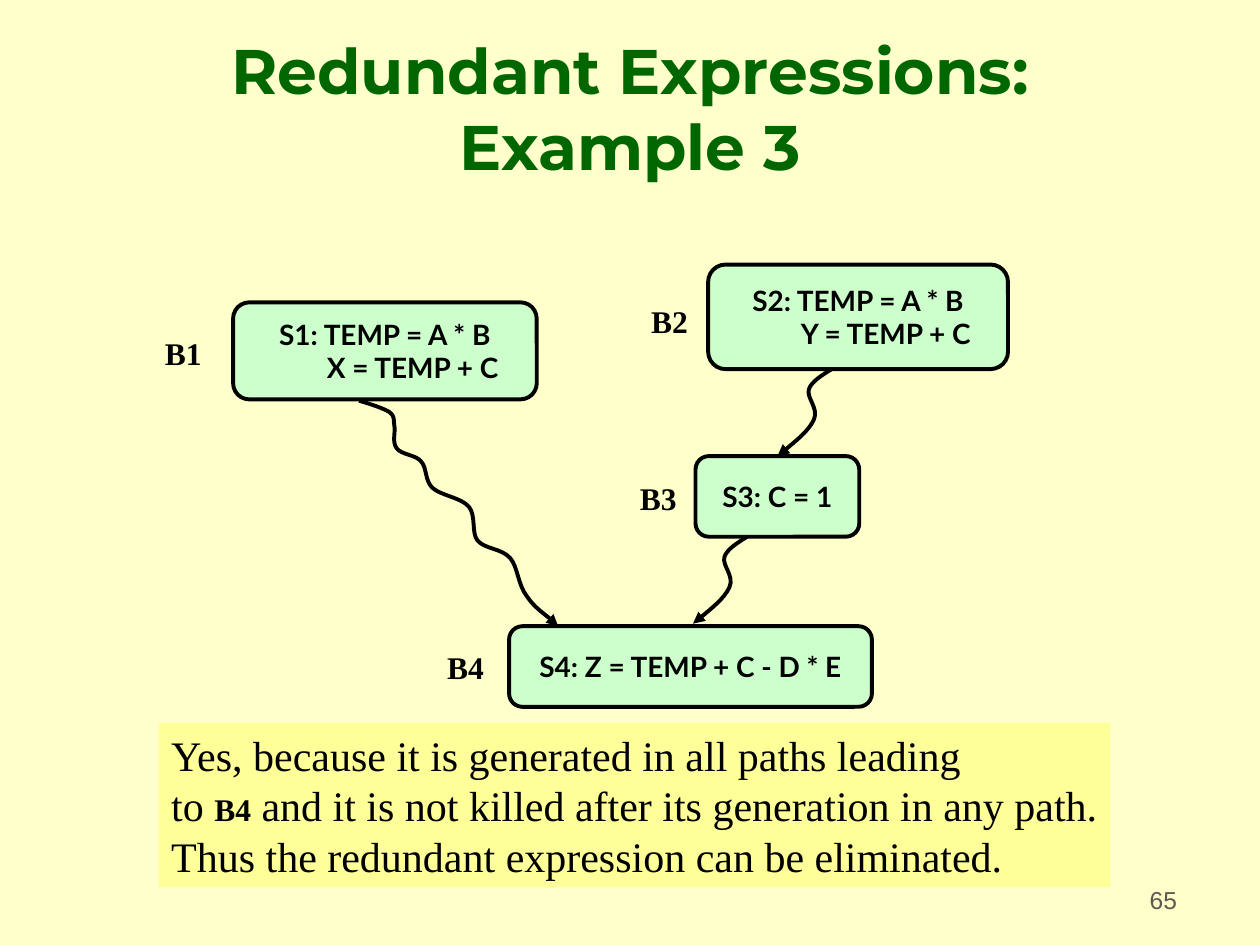
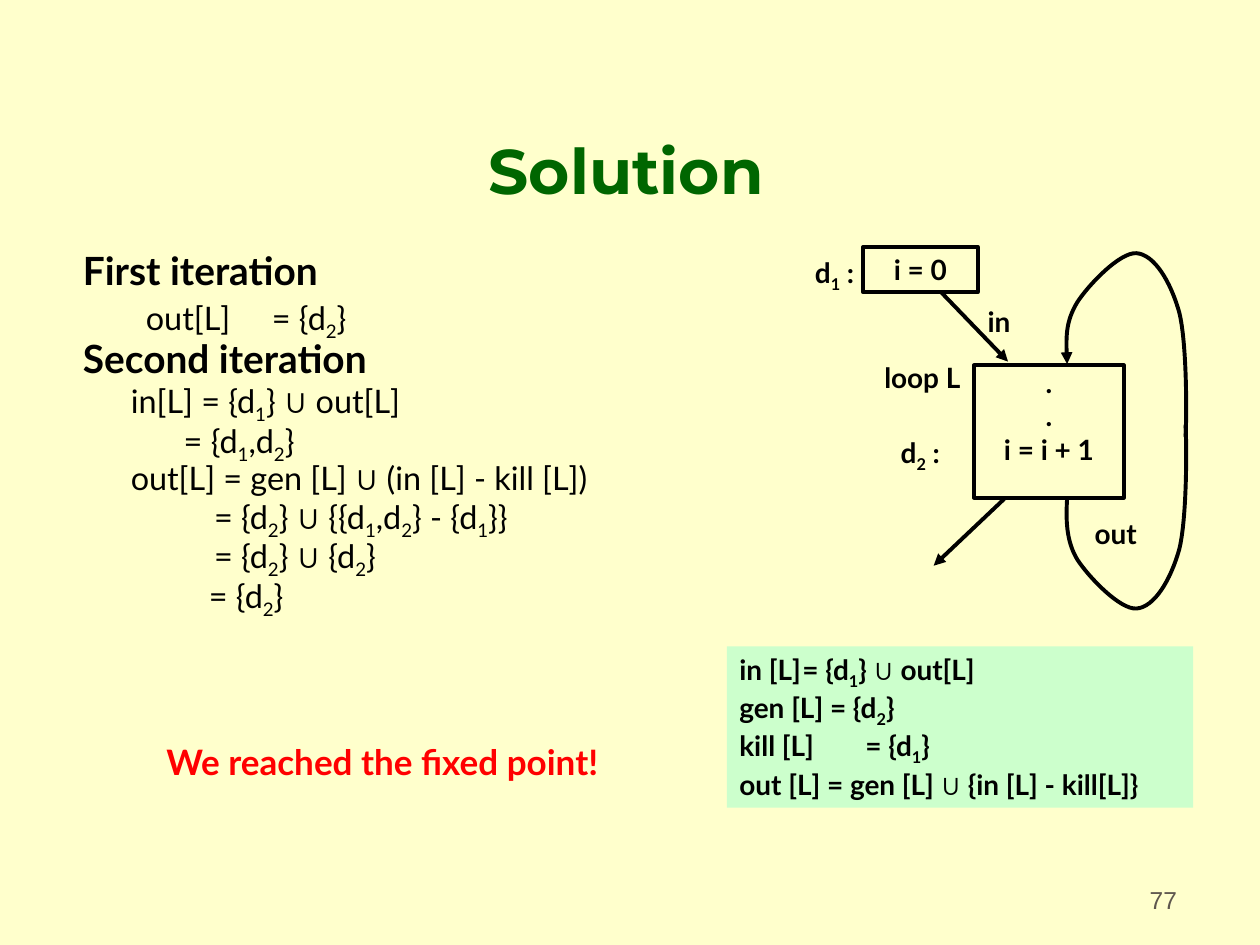
from pptx import Presentation
from pptx.dml.color import RGBColor
from pptx.enum.shapes import MSO_CONNECTOR as CONN, MSO_SHAPE as SHAPE
from pptx.enum.text import MSO_ANCHOR as ANCHOR, MSO_AUTO_SIZE as AUTO, PP_ALIGN as ALIGN
from pptx.oxml.xmlchemy import OxmlElement
from pptx.util import Inches, Pt

COLORS = {"bg": "FFFFCC", "title": "006600", "ink": "000000", "number": "5E574E",
          "block": "CCFFCC", "note": "FFFF99", "alert": "FF0000"}

# Text styles; MARKS are the tokens that are styled inside a line
CODE = {"name": "Lato", "size": 16, "bold": True, "color": "ink"}
HEAD = {**CODE, "size": 22.2}
STEP = {**CODE, "size": 18.5, "bold": False}
ALERT = {**CODE, "size": 20, "color": "alert"}
SERIF = {"name": "Times New Roman", "size": 24, "color": "ink"}
LABEL = {**SERIF, "size": 18, "bold": True}
TITLE = {"name": "Montserrat", "size": 36, "bold": True, "color": "title"}
NUMBER = {"name": "Arial", "size": 14, "color": "number"}
MARKS = {"_1": {"sub": True}, "_2": {"sub": True},
         "∪": {"name": "Arial", "bold": True}, "B4": {"size": 18, "bold": True}}

# Slide 1: a line is text, or (text, paragraph format)
BLOCKS = [
    ((1.85, 2.4, 2.41, 0.77), ["S1: TEMP = A * B", ("X = TEMP + C", {"left": 0.44})]),
    ((4.04, 4.97, 2.88, 0.64), ["S4: Z = TEMP + C - D * E"]),
    ((5.62, 2.1, 2.38, 0.83), ["S2: TEMP = A * B", ("Y = TEMP + C", {"left": 0.44})]),
    ((5.52, 3.62, 1.3, 0.64), ["S3: C = 1"]),
]
BLOCK_LABELS = [("B1", 1.21, 2.6), ("B2", 5.07, 2.35), ("B3", 4.98, 3.75), ("B4", 3.45, 5.09)]
ANSWER = ["Yes, because it is generated in all paths leading",
          "to |B4| and it is not killed after its generation in any path.",
          "Thus the redundant expression can be eliminated."]

# Curves: start point, then three points for each Bézier piece
LONG_PATH = [
    (2.85, 3.18), (2.95, 3.21), (3.04, 3.24), (3.09, 3.27), (3.14, 3.31), (3.12, 3.33),
    (3.13, 3.38), (3.14, 3.43), (3.11, 3.51), (3.15, 3.56), (3.19, 3.61), (3.3, 3.61),
    (3.34, 3.66), (3.39, 3.71), (3.37, 3.81), (3.43, 3.87), (3.49, 3.93), (3.66, 3.95),
    (3.72, 4.02), (3.78, 4.09), (3.74, 4.23), (3.79, 4.29), (3.85, 4.36), (3.98, 4.35),
    (4.05, 4.43), (4.11, 4.5), (4.11, 4.64), (4.18, 4.73), (4.24, 4.82), (4.41, 4.94),
    (4.43, 4.97)]
SHORT_PATH = [
    (6.6, 2.93), (6.52, 2.98), (6.44, 3.03), (6.42, 3.09), (6.4, 3.16), (6.5, 3.24),
    (6.46, 3.33), (6.42, 3.42), (6.21, 3.59), (6.17, 3.62)]
SHORT_STEP = (-0.67, 1.33)
LOOP_BACK = [
    (8.47, 3.95), (8.46, 4.12), (8.46, 4.29), (8.55, 4.44), (8.64, 4.58), (8.89, 4.84),
    (9.02, 4.83), (9.16, 4.82), (9.29, 4.61), (9.36, 4.36), (9.42, 4.12), (9.42, 3.55),
    (9.41, 3.37)]
LOOP_MIRROR = 6.84  # sum of the heights of mirrored points

# Slide 2
ITERATIONS = [
    ("First iteration", HEAD, {}),
    ("\tout[L]\t= {d_2}", STEP, {"before": 8, "tabs": (0.38, 1.18)}),
    ("Second iteration", HEAD, {"before": 6}),
    ("in[L] = {d_1} ∪ out[L]", STEP, {"before": 5, "left": 0.38}),
    ("= {d_1,d_2}", STEP, {"before": 5, "left": 0.8}),
    ("out[L] = gen [L] ∪ (in [L] - kill [L])", STEP, {"before": 5, "left": 0.38}),
    ("= {d_2} ∪ {{d_1,d_2} - {d_1}}", STEP, {"before": 5, "left": 1.04}),
    ("= {d_2} ∪ {d_2}", STEP, {"before": 5, "left": 1.04}),
    ("= {d_2}", STEP, {"before": 5, "left": 1}),
]
FLOW_LABELS = [("d_1 :", 6.37, 1.98), ("in", 7.74, 2.37), ("loop L", 6.92, 2.81),
               ("d_2 :", 7.05, 3.41), ("out", 8.59, 4.05)]
FLOW_ARROWS = [((7.47, 2.32), (8, 2.87)), ((7.97, 3.96), (7.41, 4.49))]
EQUATIONS = [("in [L]\t= {d_1} ∪ out[L]", {"tabs": (0.71,)}), "gen [L] = {d_2}",
             ("kill [L]\t= {d_1}", {"tabs": (0.71,)}),
             "out [L] = gen [L] ∪ {in [L] - kill[L]}"]


def rgb(key):
    return RGBColor.from_string(COLORS[key])


def add_runs(p, text, style):
    for mark in ("_1", "_2", "∪"):
        text = text.replace(mark, f"|{mark}|")
    for part in filter(None, text.split("|")):
        r = p.add_run()
        r.text = part.lstrip("_")
        for key, value in {**style, **MARKS.get(part, {})}.items():
            if key == "color":
                r.font.color.rgb = rgb(value)
            elif key == "sub":
                r.font._element.set("baseline", "-25000")
            else:
                setattr(r.font, key, Pt(value) if key == "size" else value)


def format_paragraph(p, align=ALIGN.LEFT, left=0, before=0, spacing=None, tabs=()):
    p.alignment, p.space_before = align, Pt(before)
    if spacing:
        p.line_spacing = spacing
    pPr = p._p.get_or_add_pPr()
    pPr.set("marL", str(Inches(left)))
    pPr.set("indent", "0")
    if tabs:
        tab_list = OxmlElement("a:tabLst")
        for pos in tabs:
            tab = OxmlElement("a:tab")
            tab.set("pos", str(Inches(pos)))
            tab.set("algn", "l")
            tab_list.append(tab)
        pPr.append(tab_list)


def fill_text(sp, lines, style, anchor=ANCHOR.TOP, wrap=True, **common):
    tf = sp.text_frame
    tf.auto_size, tf.word_wrap, tf.vertical_anchor = AUTO.NONE, wrap, anchor
    for i, line in enumerate(lines):
        text, *own = (line,) if isinstance(line, str) else line
        p = tf.paragraphs[0] if i == 0 else tf.add_paragraph()
        format_paragraph(p, **{**common, **(own[-1] if own else {})})
        add_runs(p, text, own[0] if len(own) == 2 else style)


def add_text(slide, at, lines, style, **fmt):
    sp = slide.shapes.add_textbox(*map(Inches, at))
    fill_text(sp, lines, style, **fmt)


def add_box(slide, at, lines, style, kind=SHAPE.RECTANGLE, fill=None, line=True, **fmt):
    sp = slide.shapes.add_shape(kind, *map(Inches, at))
    sp.shadow.inherit = False
    if fill:
        sp.fill.solid()
        sp.fill.fore_color.rgb = rgb(fill)
    else:
        sp.fill.background()
    if line:
        stroke(sp)
    else:
        sp.line.fill.background()
    fill_text(sp, lines, style, **fmt)
    return sp


def stroke(sp, arrow=None):
    """Black outline; arrow is headEnd (start) or tailEnd (finish)."""
    sp.line.color.rgb, sp.line.width = rgb("ink"), Pt(2.25)
    if arrow:
        end = OxmlElement(f"a:{arrow}")
        end.set("type", "triangle")
        sp.line._get_or_add_ln().append(end)


def add_curve(slide, points, arrow=None):
    pts = [(Inches(x), Inches(y)) for x, y in points]
    builder = slide.shapes.build_freeform(*pts[0])
    builder.add_line_segments(pts[1:], close=False)
    sp = builder.convert_to_shape()
    sp.shadow.inherit = False
    sp.fill.background()
    stroke(sp, arrow)
    # Turn each three segments into one Bézier piece
    segments = sp._element.xpath(".//a:lnTo")
    for i in range(0, len(segments), 3):
        bezier = OxmlElement("a:cubicBezTo")
        segments[i].addprevious(bezier)
        for seg in segments[i:i + 3]:
            bezier.append(seg[0])
            seg.getparent().remove(seg)


def add_arrow(slide, start, end):
    c = slide.shapes.add_connector(CONN.STRAIGHT, *map(Inches, start + end))
    stroke(c, "tailEnd")
    c._element.spPr.append(OxmlElement("a:effectLst"))


def add_slide(prs, title, left, top, number):
    slide = prs.slides.add_slide(prs.slide_layouts[5])
    sp = slide.shapes.title
    sp.left, sp.top, sp.width, sp.height = map(Inches, (left, top, 8.5, 1.25))
    fill_text(sp, [title], TITLE, anchor=ANCHOR.BOTTOM, align=ALIGN.CENTER)
    add_text(slide, (7.36, 6.81, 2.08, 0.5), [number], NUMBER,
             anchor=ANCHOR.BOTTOM, align=ALIGN.RIGHT)
    return slide


def build_example(prs):
    slide = add_slide(prs, "Redundant Expressions: Example 3", 0.75, 0.25, "65")
    add_box(slide, (1.26, 5.74, 7.55, 1.3), ANSWER, SERIF, fill="note", line=False, wrap=False)
    for at, lines in BLOCKS:
        add_box(slide, at, lines, CODE, SHAPE.ROUNDED_RECTANGLE, "block",
                anchor=ANCHOR.MIDDLE, align=ALIGN.CENTER)
    dx, dy = SHORT_STEP
    for points in (LONG_PATH, SHORT_PATH, [(x + dx, y + dy) for x, y in SHORT_PATH]):
        add_curve(slide, points, "tailEnd")
    for text, x, y in BLOCK_LABELS:
        add_text(slide, (x, y, 0.49, 0.4), [text], LABEL, wrap=False)


def build_solution(prs):
    slide = add_slide(prs, "Solution", 0.72, 0.44, "77")
    add_text(slide, (0.56, 2.01, 5.59, 3.32), ITERATIONS, STEP, spacing=0.7)
    # Flow graph of the loop
    add_box(slide, (6.85, 1.96, 0.91, 0.36), ["i = 0"], CODE,
            anchor=ANCHOR.MIDDLE, align=ALIGN.CENTER)
    loop = add_box(slide, (7.73, 2.9, 1.19, 1.05), [".", ".", "i = i + 1"], CODE,
                   align=ALIGN.CENTER)
    loop.text_frame.margin_top = 0
    for start, end in FLOW_ARROWS:
        add_arrow(slide, start, end)
    add_curve(slide, LOOP_BACK)
    add_curve(slide, [(x, LOOP_MIRROR - y) for x, y in LOOP_BACK], "headEnd")
    for text, x, y in FLOW_LABELS:
        add_text(slide, (x, y, 0.5, 0.4), [text], CODE, wrap=False)
    # Equations and conclusion
    add_box(slide, (5.77, 5.13, 3.7, 1.28), EQUATIONS, CODE, fill="block", line=False)
    add_text(slide, (1.02, 5.82, 4.03, 0.44), ["We reached the fixed point!"], ALERT,
             anchor=ANCHOR.MIDDLE, align=ALIGN.CENTER)


def main():
    prs = Presentation()
    prs.slide_width, prs.slide_height = Inches(10), Inches(7.5)
    bg = prs.slide_master.background.fill
    bg.solid()
    bg.fore_color.rgb = rgb("bg")
    build_example(prs)
    build_solution(prs)
    prs.save("out.pptx")


if __name__ == "__main__":
    main()
